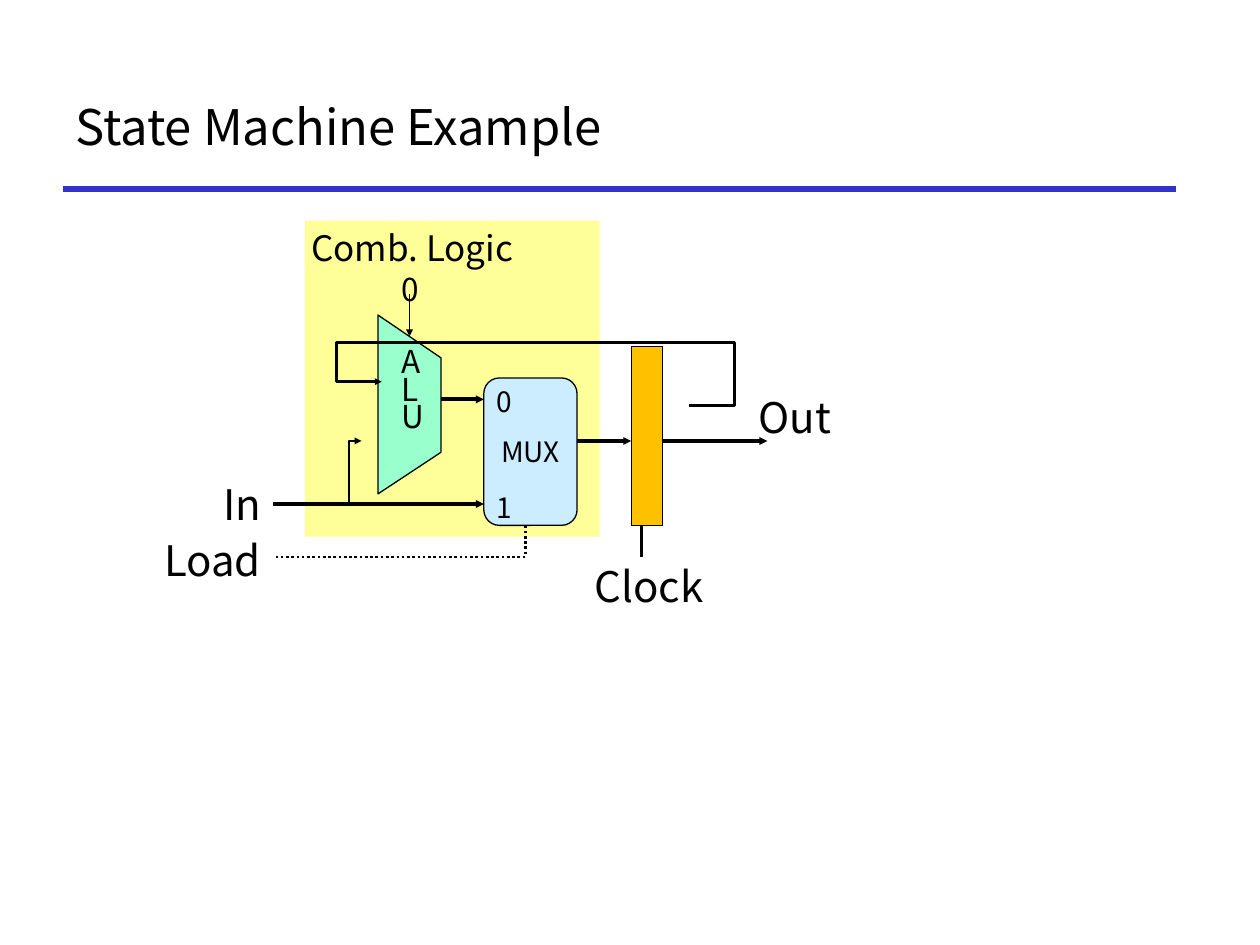
"""Build the state machine example slide with its datapath diagram."""
import pptx
import pptx.dml.color
import pptx.enum.dml
import pptx.enum.shapes
import pptx.enum.text
import pptx.oxml
import pptx.oxml.ns
import pptx.util
from pptx.util import Inches

FONT = "Noto Sans CJK KR"
COLORS = {
    "ink": "000000",
    "rule": "3333CC",
    "logic": "FFFF99",
    "alu": "99FFCC",
    "mux": "CCECFF",
    "register": "FFC000",
}
ALIGN = pptx.enum.text.PP_ALIGN
ANCHOR = pptx.enum.text.MSO_ANCHOR
SHAPE = pptx.enum.shapes.MSO_SHAPE


def rgb(name):
    """Return the named colour."""
    return pptx.dml.color.RGBColor.from_string(COLORS[name])


def style_line(line, weight, color="ink", arrow=False):
    """Set the colour, weight and optional arrowhead of a line."""
    line.color.rgb = rgb(color)
    line.width = pptx.util.Pt(weight)
    if arrow:
        head = pptx.oxml.parse_xml(
            f'<a:tailEnd {pptx.oxml.ns.nsdecls("a")} type="triangle" w="sm" len="sm"/>')
        line._get_or_add_ln().append(head)


def write(frame, text, size, align=ALIGN.LEFT, anchor=ANCHOR.TOP, inset=0.1, wrap=True):
    """Fill a text frame and format its paragraphs."""
    frame.text = text
    frame.word_wrap = wrap
    frame.vertical_anchor = anchor
    frame.margin_left = frame.margin_right = Inches(inset)
    frame.margin_top = frame.margin_bottom = Inches(0.05)
    for paragraph in frame.paragraphs:
        paragraph.alignment = align
        paragraph.font.size = pptx.util.Pt(size)
        paragraph.font.name = FONT
        paragraph.font.color.rgb = rgb("ink")


def add_label(slide, box, text, size, **layout):
    """Add a text box and return its frame."""
    frame = slide.shapes.add_textbox(*map(Inches, box)).text_frame
    write(frame, text, size, **layout)
    return frame


def add_block(slide, kind, box, color, outlined=True):
    """Add a filled preset shape."""
    block = slide.shapes.add_shape(kind, *map(Inches, box))
    block.shadow.inherit = False
    block.fill.solid()
    block.fill.fore_color.rgb = rgb(color)
    if outlined:
        style_line(block.line, 0.75)
    else:
        block.line.fill.background()
    return block


def add_wire(slide, start, end, weight=2.25, color="ink", arrow=True):
    """Add a straight connector."""
    wire = slide.shapes.add_connector(
        pptx.enum.shapes.MSO_CONNECTOR.STRAIGHT, *map(Inches, start + end))
    style_line(wire.line, weight, color, arrow)
    wire._element.spPr.append(
        pptx.oxml.parse_xml(f'<a:effectLst {pptx.oxml.ns.nsdecls("a")}/>'))


def add_path(slide, points, weight=1.5, fill=None, arrow=False):
    """Add a bent wire, or a closed outline when a fill is given."""
    corners = [(Inches(x), Inches(y)) for x, y in points]
    builder = slide.shapes.build_freeform(*corners[0])
    builder.add_line_segments(corners[1:], close=fill is not None)
    outline = builder.convert_to_shape()
    outline.shadow.inherit = False
    if fill:
        outline.fill.solid()
        outline.fill.fore_color.rgb = rgb(fill)
    else:
        outline.fill.background()
    style_line(outline.line, weight, arrow=arrow)
    return outline


def add_alu(slide):
    """Add the ALU with its stacked letters and operation input."""
    add_wire(slide, (3.25, 2.33), (3.25, 2.67), weight=1)
    add_path(slide, [(3, 2.5), (3.5, 2.84), (3.5, 3.59), (3, 3.92)], 0.75, "alu")
    letters = add_label(slide, (3.09, 2.75, 0.42, 0.87), "A\nL\nU", 18)
    for index, letter in enumerate(letters.paragraphs):
        letter.line_spacing = 0.7
        letter.space_before = pptx.util.Pt(0.6 if index else 0)
    add_label(slide, (3.09, 2.09, 0.35, 0.41), "0", 18, wrap=False)


def add_mux(slide):
    """Add the multiplexer and its two input numbers."""
    mux = add_block(slide, SHAPE.ROUNDED_RECTANGLE, (3.84, 3, 0.74, 1.17), "mux")
    write(mux.text_frame, "MUX", 16, ALIGN.CENTER, ANCHOR.MIDDLE, wrap=False)
    for number, top in (("0", 3), ("1", 3.84)):
        add_label(slide, (3.84, top, 0.5, 0.38), number, 16)


def main():
    """Assemble and save the slide."""
    deck = pptx.Presentation()
    deck.slide_width, deck.slide_height = Inches(10), Inches(7.5)
    slide = deck.slides.add_slide(deck.slide_layouts[6])

    add_wire(slide, (0.5, 1.5), (9.33, 1.5), 3, "rule", arrow=False)
    add_label(slide, (0.5, 0.5, 8.83, 1), "State Machine Example", 28, anchor=ANCHOR.MIDDLE)

    logic = add_block(slide, SHAPE.RECTANGLE, (2.42, 1.75, 2.34, 2.51), "logic", outlined=False)
    write(logic.text_frame, "Comb. Logic", 20, inset=0.05)

    add_wire(slide, (5.26, 3.5), (6.09, 3.5))
    add_alu(slide)
    add_wire(slide, (2.17, 4), (3.84, 4))
    add_wire(slide, (3.5, 3.17), (3.84, 3.17))
    add_wire(slide, (4.51, 3.5), (5.01, 3.5))
    load = add_path(slide, [(4.17, 4.17), (4.17, 4.42), (2.17, 4.42)])
    load.line.dash_style = pptx.enum.dml.MSO_LINE.ROUND_DOT
    add_mux(slide)
    add_path(slide, [(2.77, 4), (2.77, 3.5), (2.87, 3.5)], arrow=True)

    add_block(slide, SHAPE.RECTANGLE, (5.01, 2.75, 0.25, 1.42), "register")
    add_wire(slide, (5.09, 4.17), (5.09, 4.42), 1.5, arrow=False)
    feedback = [(5.47, 3.22), (5.83, 3.22), (5.83, 2.72), (2.67, 2.72), (2.67, 3.03), (3.03, 3.03)]
    add_path(slide, feedback, arrow=True)

    add_label(slide, (5.92, 3.06, 0.81, 0.51), "Out", 24, wrap=False)
    add_label(slide, (4.67, 4.4, 0.98, 0.51), "Clock", 24, inset=0.05, wrap=False)
    add_label(slide, (1.34, 3.75, 0.83, 0.51), "In", 24, align=ALIGN.RIGHT)
    add_label(slide, (1, 4.19, 1.17, 0.51), "Load", 24, align=ALIGN.RIGHT)

    deck.save("out.pptx")


if __name__ == "__main__":
    main()
